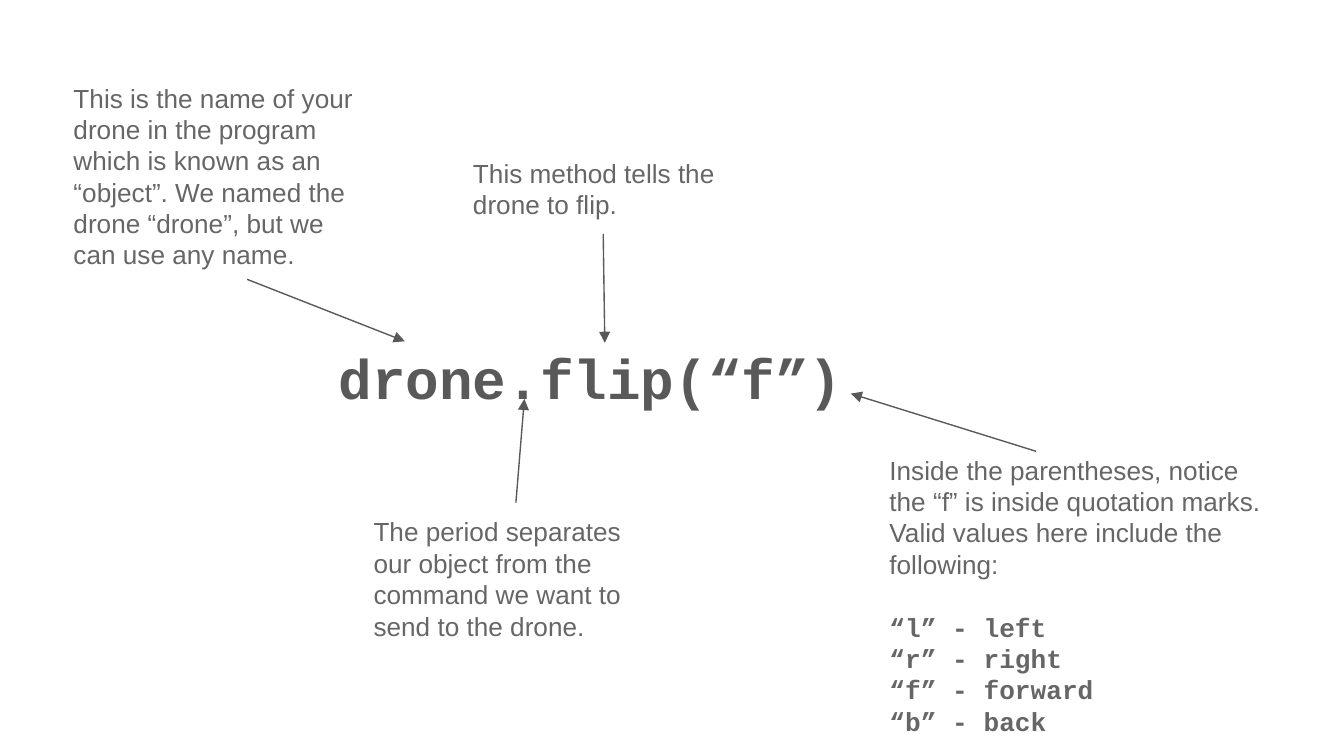
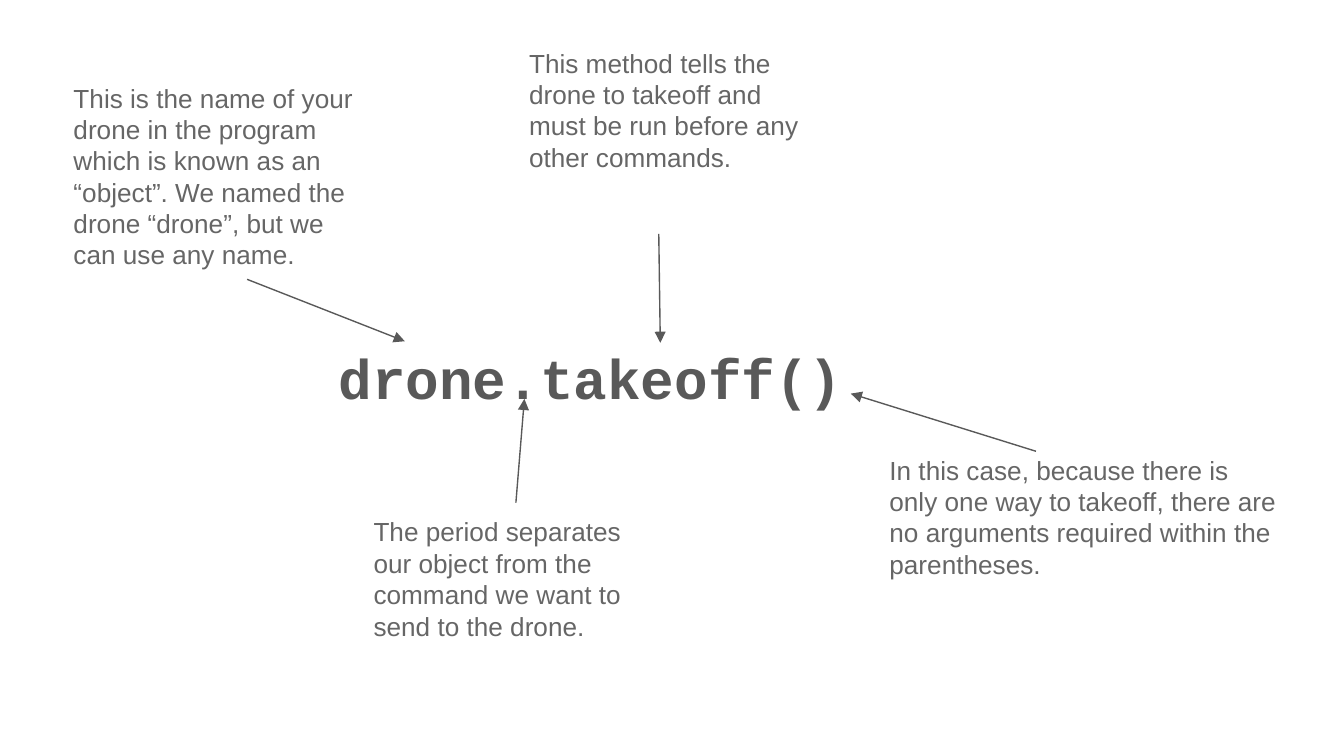
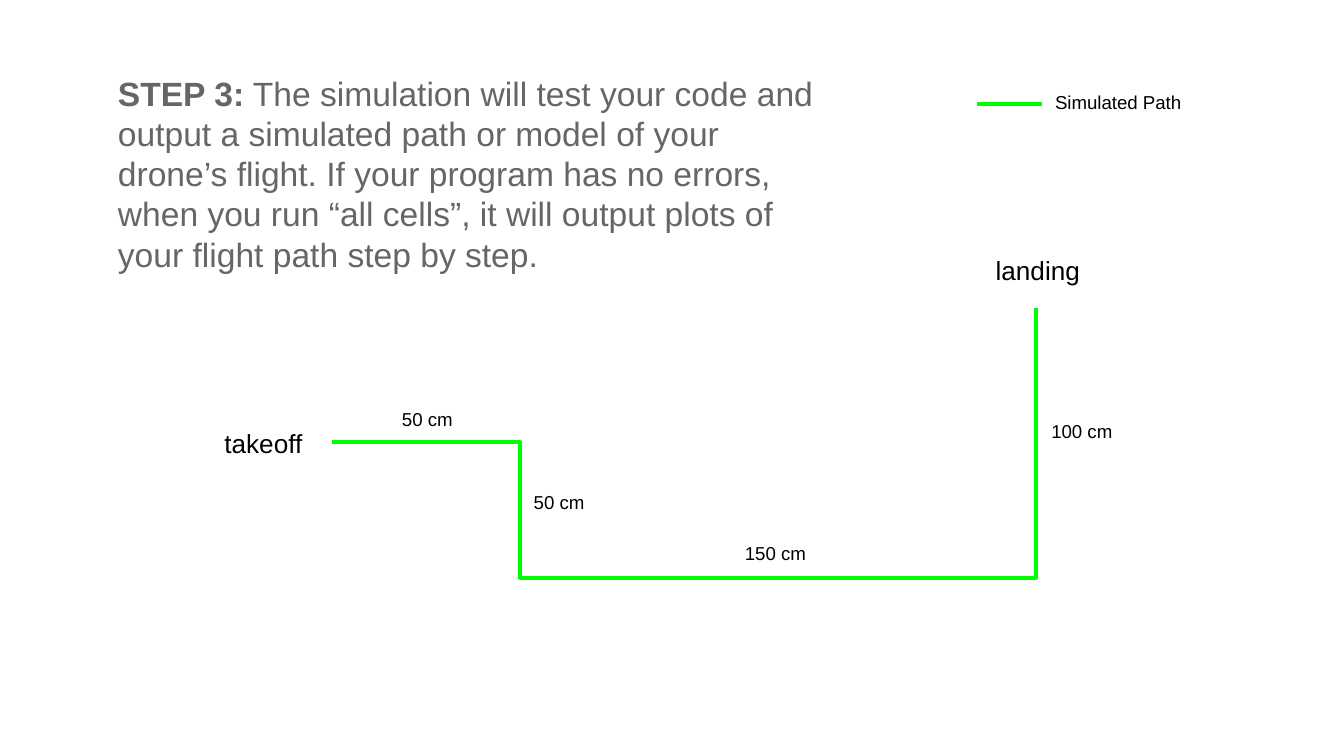
from lxml import etree
from pptx import Presentation
from pptx.dml.color import RGBColor
from pptx.enum.shapes import MSO_CONNECTOR
from pptx.enum.text import MSO_ANCHOR, PP_ALIGN
from pptx.oxml.ns import qn
from pptx.util import Cm, Pt

STRAIGHT = MSO_CONNECTOR.STRAIGHT
TOP, MIDDLE = MSO_ANCHOR.TOP, MSO_ANCHOR.MIDDLE
LEFT, CENTER = PP_ALIGN.LEFT, PP_ALIGN.CENTER

# Shared style
SANS, MONO = "Arial", "Courier New"
CODE_GREY, NOTE_GREY, BLACK, PATH_GREEN = "595959", "666666", "000000", "00FF00"
NOTE_SIZE = 14
INSET = 0.25

# Wording and positions (cm) shared by the code slides
OBJECT_NOTE = ("This is the name of your drone in the program which is known as an "
               "“object”. We named the drone “drone”, but we can use any name.")
PERIOD_NOTE = ("The period separates our object from the command we want to send "
               "to the drone.")
NOTE_WIDTH, NOTE_HEIGHT = 5.89, 3.23


def color(hex_code):
    return RGBColor.from_string(hex_code)


def add_text_box(slide, left, top, width, height, anchor=TOP):
    frame = slide.shapes.add_textbox(Cm(left), Cm(top), Cm(width), Cm(height)).text_frame
    frame.word_wrap = True
    frame.vertical_anchor = anchor
    frame.margin_left = frame.margin_right = Cm(INSET)
    frame.margin_top = frame.margin_bottom = Cm(INSET)
    return frame


def add_run(paragraph, text, size, hex_code, font=SANS, bold=False):
    run = paragraph.add_run()
    run.text = text
    run.font.name = font
    run.font.size = Pt(size)
    run.font.bold = bold
    run.font.color.rgb = color(hex_code)


def add_note(slide, text, left, top, width=NOTE_WIDTH, height=NOTE_HEIGHT):
    frame = add_text_box(slide, left, top, width, height)
    add_run(frame.paragraphs[0], text, NOTE_SIZE, NOTE_GREY)
    return frame


def add_label(slide, text, left, top, size=10, align=CENTER, width=2.29):
    paragraph = add_text_box(slide, left, top, width, 1.07).paragraphs[0]
    paragraph.alignment = align
    add_run(paragraph, text, size, BLACK)


def add_line(slide, start, end, hex_code, weight, arrow=False):
    line = slide.shapes.add_connector(STRAIGHT, *map(Cm, start + end))
    line.line.color.rgb = color(hex_code)
    line.line.width = Pt(weight)
    if arrow:
        etree.SubElement(line.line._get_or_add_ln(), qn("a:tailEnd"), type="triangle")
    etree.SubElement(line._element.spPr, qn("a:effectLst"))


def add_arrow(slide, start, end):
    add_line(slide, start, end, CODE_GREY, 0.75, arrow=True)


def add_flight_path(slide, corners):
    points = [(Cm(x), Cm(y)) for x, y in corners]
    builder = slide.shapes.build_freeform(*points[0])
    builder.add_line_segments(points[1:], close=False)
    flight = builder.convert_to_shape()
    flight.shadow.inherit = False
    flight.fill.background()
    flight.line.color.rgb = color(PATH_GREEN)
    flight.line.width = Pt(2.25)


def add_code_slide(slide, code, method_note, method_box, method_x, argument_note,
                   argument_values=()):
    # Command in the middle
    command = add_text_box(slide, 6.15, 5.94, 11.99, 2.39, MIDDLE)
    add_run(command.paragraphs[0], code, 30, CODE_GREY, MONO, True)

    # Object, period and method
    add_note(slide, OBJECT_NOTE, 1.14, 1.3)
    add_arrow(slide, (4.67, 5.28), (7.65, 6.45))
    add_note(slide, PERIOD_NOTE, 6.81, 9.5)
    add_arrow(slide, (9.75, 9.5), (9.91, 7.54))
    add_note(slide, method_note, *method_box)
    add_arrow(slide, (method_x, 4.42), (method_x + 0.03, 6.48))

    # Arguments and their valid values
    arguments = add_note(slide, argument_note, 16.56, 8.33, 7.87, 5.61)
    for index, value in enumerate(argument_values):
        paragraph = arguments.add_paragraph()
        if index == 0:
            paragraph.space_before = Pt(17)
        add_run(paragraph, value, NOTE_SIZE, NOTE_GREY, MONO, True)
    add_arrow(slide, (19.58, 8.53), (16.08, 7.44))


def add_simulation_slide(slide):
    # Simulated flight
    add_flight_path(slide, [(6.27, 8.36), (9.83, 8.36), (9.83, 10.92),
                            (19.58, 10.92), (19.58, 5.82)])
    add_label(slide, "takeoff", 3.99, 7.82, NOTE_SIZE, LEFT)
    add_label(slide, "landing", 18.47, 4.55, NOTE_SIZE)
    for distance, left, top in [("50 cm", 6.93, 7.49), ("50 cm", 9.42, 9.07),
                                ("150 cm", 13.51, 10.03), ("100 cm", 19.3, 7.72)]:
        add_label(slide, distance, left, top)

    # Step description
    step = add_text_box(slide, 1.98, 1.12, 13.67, 4.37).paragraphs[0]
    add_run(step, "STEP 3:", 18, NOTE_GREY, bold=True)
    add_run(step, " The simulation will test your code and output a simulated path or "
                  "model of your drone’s flight. If your program has no errors, when you "
                  "run “all cells”, it will output plots of your flight path step by step.",
            18, NOTE_GREY)

    # Legend
    add_line(slide, (18.47, 1.96), (19.69, 1.96), PATH_GREEN, 2.25)
    add_label(slide, "Simulated Path", 19.69, 1.5, align=LEFT, width=3.48)


def main():
    deck = Presentation()
    deck.slide_width, deck.slide_height = Cm(25.4), Cm(14.29)
    blank = deck.slide_layouts[6]

    add_code_slide(
        deck.slides.add_slide(blank), "drone.flip(“f”)",
        "This method tells the drone to flip.", (8.69, 2.72, NOTE_WIDTH, 1.83), 11.4,
        "Inside the parentheses, notice the “f” is inside quotation marks. "
        "Valid values here include the following:",
        ["“l” - left", "“r” - right", "“f” - forward", "“b” - back"])
    add_code_slide(
        deck.slides.add_slide(blank), "drone.takeoff()",
        "This method tells the drone to takeoff and must be run before any other commands.",
        (9.75, 0.64), 12.45,
        "In this case, because there is only one way to takeoff, there are no "
        "arguments required within the parentheses.")
    add_simulation_slide(deck.slides.add_slide(blank))

    deck.save("out.pptx")


if __name__ == "__main__":
    main()
